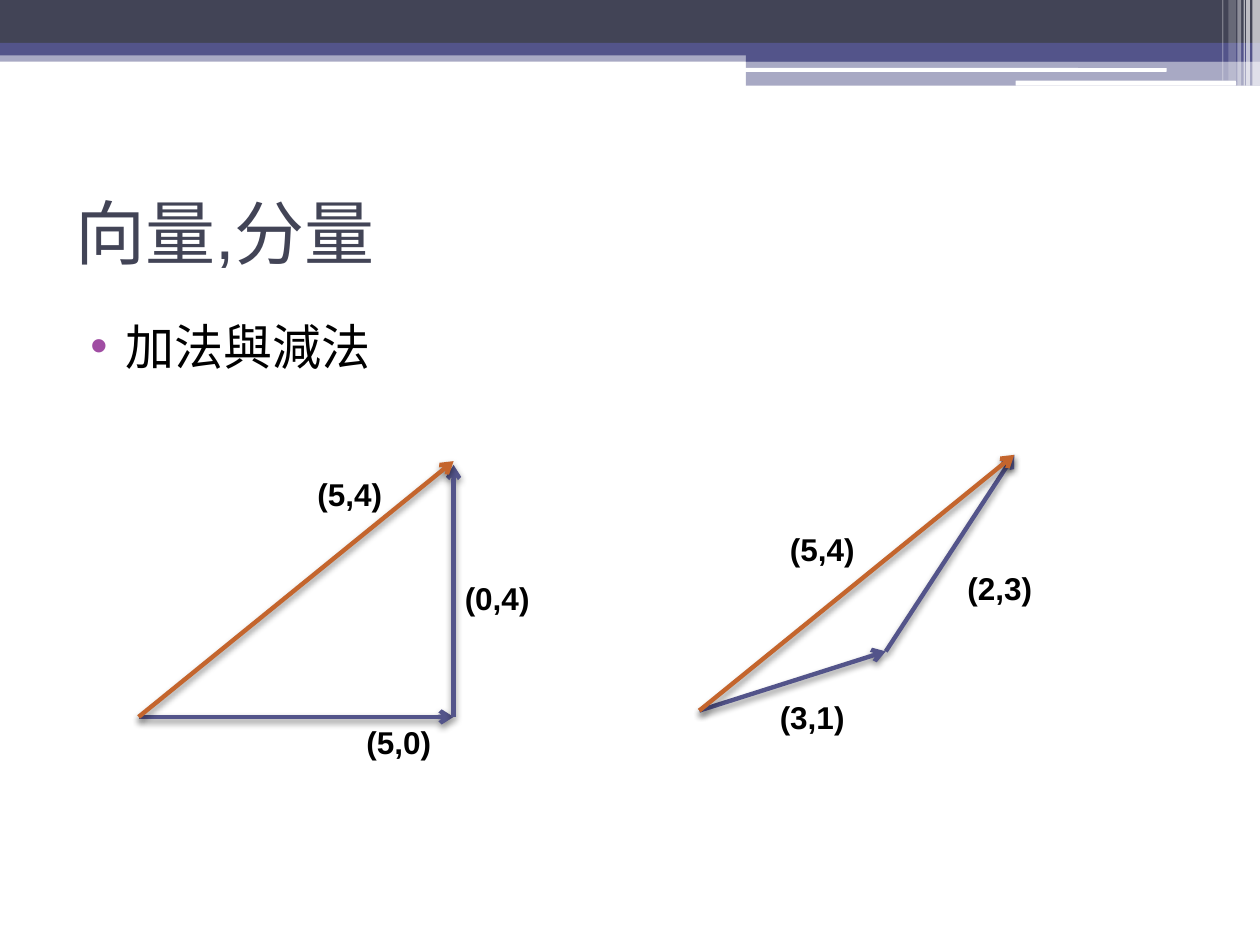
from lxml import etree
from pptx import Presentation
from pptx.dml.color import RGBColor
from pptx.enum.shapes import MSO_CONNECTOR, MSO_SHAPE
from pptx.enum.text import MSO_ANCHOR
from pptx.oxml import parse_xml
from pptx.oxml.ns import qn
from pptx.util import Inches, Pt

RECT, ROUND = MSO_SHAPE.RECTANGLE, MSO_SHAPE.ROUNDED_RECTANGLE
STRAIGHT = MSO_CONNECTOR.STRAIGHT
MIDDLE = MSO_ANCHOR.MIDDLE
DARK, BLUE, ORANGE = "424456", "53548A", "C4652D"
WHITE, BLACK, PURPLE = "FFFFFF", "000000", "A04DA3"
SHADOW = (
    '<a:effectLst xmlns:a="http://schemas.openxmlformats.org/drawingml/2006/main">'
    '<a:outerShdw blurRad="50800" dist="25400" dir="5400000" rotWithShape="0">'
    '<a:srgbClr val="000000"><a:alpha val="45000"/></a:srgbClr>'
    '</a:outerShdw></a:effectLst>'
)


def rgb(code):
    return RGBColor.from_string(code)


def write(box, text, size, color, bold=False):
    """Add a text box at box and return its frame."""
    frame = slide.shapes.add_textbox(*map(Inches, box)).text_frame
    frame.word_wrap = True
    run = frame.paragraphs[0].add_run()
    run.text = text
    run.font.name = "Arial"
    run.font.size = Pt(size)
    run.font.bold = bold
    run.font.color.rgb = rgb(color)
    return frame


deck = Presentation()
deck.slide_width, deck.slide_height = Inches(10), Inches(7.5)
slide = deck.slides.add_slide(deck.slide_layouts[6])

# Header bands and stripes: kind, box, colour, opacity in percent
bands = [
    (RECT, (0, 0.4, 10, 0.09), BLUE, 50),
    (RECT, (0, 0, 10, 0.34), DARK, 100),
    (RECT, (0, 0.34, 10, 0.1), BLUE, 100),
    (RECT, (5.92, 0.39, 4.08, 0.1), BLUE, 100),
    (RECT, (5.92, 0.48, 4.08, 0.2), BLUE, 50),
    (ROUND, (5.91, 0.54, 3.35, 0.03), WHITE, 100),
    (ROUND, (8.06, 0.64, 1.75, 0.04), WHITE, 100),
    (RECT, (9.94, 0, 0.06, 0.68), WHITE, 65),
    (RECT, (9.89, 0, 0.03, 0.68), WHITE, 65),
    (RECT, (9.87, 0, 0.01, 0.68), WHITE, 60),
    (RECT, (9.82, 0, 0.03, 0.68), WHITE, 40),
    (RECT, (9.75, 0, 0.06, 0.64), WHITE, 20),
    (RECT, (9.7, 0, 0.01, 0.64), WHITE, 30),
]
for kind, box, color, alpha in bands:
    band = slide.shapes.add_shape(kind, *map(Inches, box))
    band.shadow.inherit = False
    band.line.fill.background()
    band.fill.solid()
    band.fill.fore_color.rgb = rgb(color)
    if alpha < 100:
        tint = band.fill._xPr.find(qn("a:solidFill"))[0]
        etree.SubElement(tint, qn("a:alpha"), val=str(alpha * 1000))

# Bullet and title
body = write((0.5, 2.46, 9, 4.73), "加法與減法", 28, BLACK)
props = body.paragraphs[0]._p.get_or_add_pPr()
props.set("marL", str(Inches(0.4)))
props.set("indent", str(Inches(-0.28)))
hue = etree.SubElement(props, qn("a:buClr"))
etree.SubElement(hue, qn("a:srgbClr"), val=PURPLE)
etree.SubElement(props, qn("a:buFont"), typeface="Arial")
etree.SubElement(props, qn("a:buChar"), char="•")

title = write((0.5, 1.25, 9, 1.17), "向量,分量", 40, DARK)
title.vertical_anchor = MIDDLE

# Vector sums: start, end, colour
arrows = [
    ((1.1, 5.69), (3.6, 5.69), BLUE),
    ((3.6, 5.69), (3.6, 3.69), BLUE),
    ((1.1, 5.69), (3.6, 3.66), ORANGE),
    ((7.03, 5.17), (8.05, 3.61), BLUE),
    ((5.55, 5.64), (7.03, 5.17), BLUE),
    ((5.55, 5.64), (8.05, 3.61), ORANGE),
]
for start, end, color in arrows:
    arrow = slide.shapes.add_connector(STRAIGHT, *map(Inches, start + end))
    arrow.line.width = Pt(2.5)
    arrow.line.color.rgb = rgb(color)
    etree.SubElement(arrow.line._get_or_add_ln(), qn("a:tailEnd"), type="arrow")
    arrow._element.spPr.append(parse_xml(SHADOW))

labels = [
    ("(0,4)", 3.59, 4.55),
    ("(5,4)", 2.42, 3.72),
    ("(5,0)", 2.81, 5.69),
    ("(5,4)", 6.17, 4.16),
    ("(2,3)", 7.58, 4.47),
    ("(3,1)", 6.09, 5.49),
]
for text, left, top in labels:
    write((left, top, 1.09, 0.4), text, 18, BLACK, bold=True)

deck.save("out.pptx")
